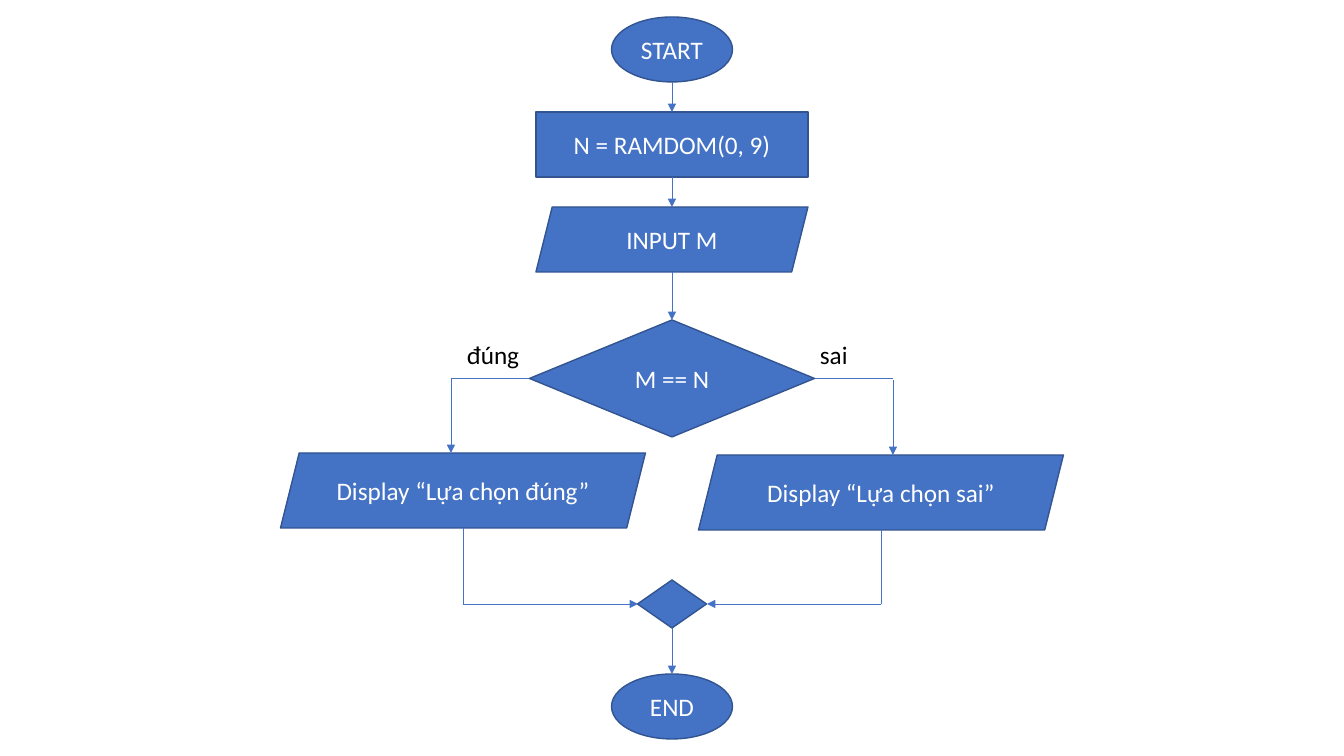
"""Build a flowchart slide for a number-guessing program."""
from dataclasses import dataclass

from lxml.etree import SubElement
from pptx import Presentation
from pptx.dml.color import RGBColor
from pptx.enum.shapes import MSO_CONNECTOR, MSO_SHAPE
from pptx.enum.text import MSO_ANCHOR, PP_ALIGN
from pptx.oxml.ns import qn
from pptx.util import Inches, Pt


@dataclass(frozen=True)
class Theme:
    fill: RGBColor = RGBColor(0x44, 0x72, 0xC4)
    outline: RGBColor = RGBColor(0x32, 0x54, 0x91)
    light: RGBColor = RGBColor(0xFF, 0xFF, 0xFF)
    dark: RGBColor = RGBColor(0x00, 0x00, 0x00)
    font: str = "Calibri"
    size: Pt = Pt(18)
    outline_width: Pt = Pt(1)
    arrow_width: Pt = Pt(0.5)


THEME = Theme()
PIXEL = Inches(1) / 100.8


def emu(*pixels):
    return [round(pixel * PIXEL) for pixel in pixels]


def write(box, text, color, alignment):
    para = box.text_frame.paragraphs[0]
    para.alignment = alignment
    span = para.add_run()
    span.text = text
    span.font.name = THEME.font
    span.font.size = THEME.size
    span.font.color.rgb = color


deck = Presentation()
deck.slide_width, deck.slide_height = emu(1344, 756)
page = deck.slides.add_slide(deck.slide_layouts[6])

CENTER = 672
DECISION_Y = 378
MERGE_Y = 604

steps = [
    (MSO_SHAPE.OVAL, CENTER, 17, 121, 65, "START"),
    (MSO_SHAPE.RECTANGLE, CENTER, 112, 272, 65, "N = RAMDOM(0, 9)"),
    (MSO_SHAPE.PARALLELOGRAM, CENTER, 207, 272, 65, "INPUT M"),
    (MSO_SHAPE.DIAMOND, CENTER, 320, 285, 117, "M == N"),
    (MSO_SHAPE.PARALLELOGRAM, 463, 453, 365, 75, "Display “Lựa chọn đúng”"),
    (MSO_SHAPE.PARALLELOGRAM, 881, 455, 365, 75, "Display “Lựa chọn sai”"),
    (MSO_SHAPE.DIAMOND, CENTER, 580, 69, 48, ""),
    (MSO_SHAPE.OVAL, CENTER, 674, 121, 65, "END"),
]
for kind, middle, top, width, height, text in steps:
    box = page.shapes.add_shape(kind, *emu(middle - width / 2, top, width, height))
    box.shadow.inherit = False
    box.fill.solid()
    box.fill.fore_color.rgb = THEME.fill
    box.line.color.rgb = THEME.outline
    box.line.width = THEME.outline_width
    box.text_frame.word_wrap = True
    box.text_frame.vertical_anchor = MSO_ANCHOR.MIDDLE
    if text:
        write(box, text, THEME.light, PP_ALIGN.CENTER)

flows = [
    (CENTER, 82, CENTER, 112, True),
    (CENTER, 177, CENTER, 207, True),
    (CENTER, 272, CENTER, 320, True),
    (529, DECISION_Y, 451, DECISION_Y, False),
    (451, DECISION_Y, 451, 453, True),
    (815, DECISION_Y, 893, DECISION_Y, False),
    (893, DECISION_Y + 2, 893, 455, True),
    (463, 528, 463, MERGE_Y, False),
    (463, MERGE_Y, 638, MERGE_Y, True),
    (881, 530, 881, MERGE_Y, False),
    (881, MERGE_Y, 707, MERGE_Y, True),
    (CENTER, 628, CENTER, 674, True),
]
for *ends, has_arrowhead in flows:
    flow = page.shapes.add_connector(MSO_CONNECTOR.STRAIGHT, *emu(*ends))
    flow.line.color.rgb = THEME.fill
    flow.line.width = THEME.arrow_width
    if has_arrowhead:
        SubElement(flow.line._get_or_add_ln(), qn("a:tailEnd"), type="triangle")
    SubElement(flow._element.spPr, qn("a:effectLst"))

for left, width, text in [(457, 74, "đúng"), (810, 48, "sai")]:
    label = page.shapes.add_textbox(*emu(left, 334, width, 40))
    label.text_frame.word_wrap = False
    write(label, text, THEME.dark, PP_ALIGN.LEFT)

deck.save("out.pptx")
